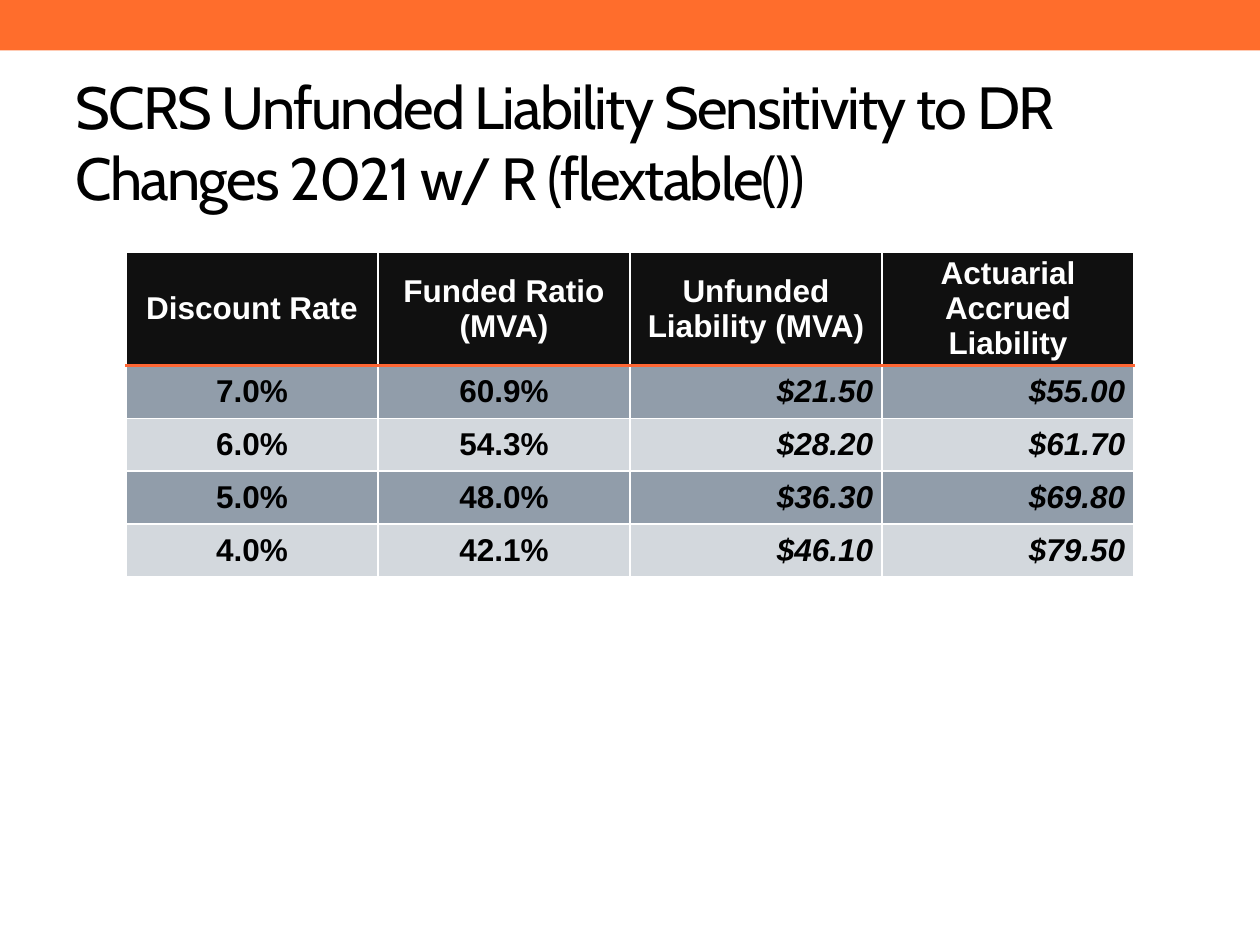
from lxml import etree
from pptx import Presentation
from pptx import util as u
from pptx.dml.color import RGBColor
from pptx.enum import shapes, text
from pptx.oxml.ns import qn

HEADERS = ["Discount Rate", "Funded Ratio (MVA)",
           "Unfunded Liability (MVA)", "Actuarial Accrued Liability"]
ROWS = [
    ["7.0%", "60.9%", "$21.50", "$55.00"],
    ["6.0%", "54.3%", "$28.20", "$61.70"],
    ["5.0%", "48.0%", "$36.30", "$69.80"],
    ["4.0%", "42.1%", "$46.10", "$79.50"],
]


def paint(fill, color):
    fill.solid()
    fill.fore_color.rgb = RGBColor.from_string(color)


def set_borders(cell, borders):
    """Add (side, color, points) borders, given in the order L, R, T, B."""
    properties = cell._tc.get_or_add_tcPr()
    for position, (side, color, points) in enumerate(borders):
        line = etree.Element(qn(f"a:ln{side}"), w=str(u.Pt(points)))
        fill = etree.SubElement(line, qn("a:solidFill"))
        etree.SubElement(fill, qn("a:srgbClr"), val=color)
        properties.insert(position, line)


presentation = Presentation()
presentation.slide_width = u.Inches(10)
presentation.slide_height = u.Inches(7.5)
slide = presentation.slides.add_slide(presentation.slide_layouts[6])

# Top band
band = slide.shapes.add_shape(shapes.MSO_SHAPE.RECTANGLE, 0, 0,
                              presentation.slide_width, u.Inches(0.4))
band.shadow.inherit = False
paint(band.fill, "FF6D2C")
band.line.fill.background()

# Title
title = slide.shapes.add_textbox(u.Inches(0.5), u.Inches(0.58),
                                 u.Inches(8.6), u.Inches(1.08))
title.text_frame.word_wrap = True
title.text_frame.vertical_anchor = text.MSO_ANCHOR.MIDDLE
paragraph = title.text_frame.paragraphs[0]
run = paragraph.add_run()
run.text = "SCRS Unfunded Liability Sensitivity to DR Changes 2021 w/ R (flextable())"
run.font.name = "Cabin"
run.font.size = u.Pt(34)
paint(run.font.fill, "000000")
run.font._element.set("spc", "-100")

# Sensitivity table
table = slide.shapes.add_table(len(ROWS) + 1, len(HEADERS), u.Inches(1), u.Inches(2),
                               u.Inches(8), u.Inches(2.11)).table
for column in table.columns:
    column.width = u.Inches(2)
for row in table.rows:
    row.height = u.Inches(0.42)
table.rows[0].height = u.Inches(0.43)

for row_index, values in enumerate([HEADERS] + ROWS):
    is_header = row_index == 0
    for column_index, value in enumerate(values):
        is_amount = not is_header and column_index >= 2
        cell = table.cell(row_index, column_index)
        cell.text = value
        cell.vertical_anchor = text.MSO_ANCHOR.MIDDLE
        cell.margin_left = cell.margin_right = cell.margin_top = cell.margin_bottom = 0
        if is_header:
            paint(cell.fill, "101010")
        else:
            paint(cell.fill, "919DAA" if row_index % 2 else "D3D8DD")

        paragraph = cell.text_frame.paragraphs[0]
        paragraph.alignment = text.PP_ALIGN.RIGHT if is_amount else text.PP_ALIGN.CENTER
        paragraph.space_before = paragraph.space_after = u.Pt(5)
        indents = paragraph._p.get_or_add_pPr()
        for side in ("marL", "marR"):
            indents.set(side, str(u.Inches(0.07)))
        indents.set("indent", "0")
        paragraph.font.name = "Arial"
        paragraph.font.size = u.Pt(18)
        paragraph.font.bold = True
        paragraph.font.italic = is_amount
        paint(paragraph.font.fill, "FFFFFF" if is_header else "000000")

        accent, white = ("FF6633", 2), ("FFFFFF", 1)
        top = accent if row_index == 1 else white
        bottom = accent if is_header else white
        set_borders(cell, [("L", *white), ("R", *white), ("T", *top), ("B", *bottom)])

presentation.save("out.pptx")
